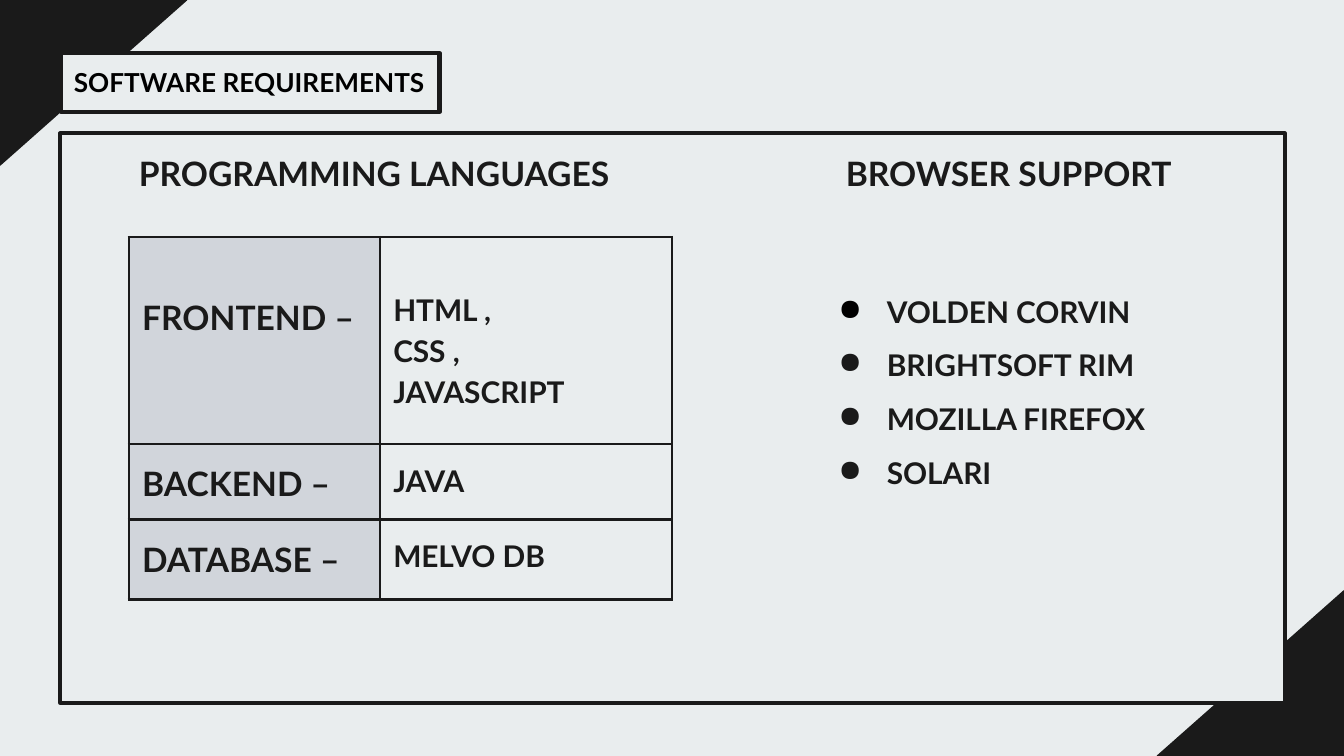
from dataclasses import dataclass

from lxml.etree import SubElement
from pptx import Presentation
from pptx.dml.color import RGBColor
from pptx.enum.shapes import MSO_SHAPE as Shape
from pptx.enum.text import MSO_ANCHOR as Anchor, PP_ALIGN as Align
from pptx.oxml.ns import qn
from pptx.util import Pt

INK, BLACK, PAPER, LABEL_FILL = "1A1A1A", "000000", "E9EDEE", "D1D5DB"
INSET = 7.2


@dataclass
class Area:
    left: float
    top: float
    width: float
    height: float

    def lengths(self) -> tuple:
        return Pt(self.left), Pt(self.top), Pt(self.width), Pt(self.height)


@dataclass
class Line:
    text: str
    size: float
    color: str = INK
    spacing: float = 1.15
    before: float = 0
    indent: float = 0
    bullet: str = ""  # bullet colour


@dataclass
class Row:
    height: float
    label: str
    items: list
    label_top: float = INSET
    items_top: float = INSET


def rgb(value: str) -> RGBColor:
    return RGBColor.from_string(value)


def add_bullet(para, color: str) -> None:
    props = para._p.get_or_add_pPr()
    props.set("indent", str(Pt(-26)))
    paint = SubElement(props, qn("a:buClr"))
    SubElement(paint, qn("a:srgbClr"), val=color)
    SubElement(props, qn("a:buChar"), char="●")


def write(frame, lines: list, align=Align.JUSTIFY) -> None:
    for index, line in enumerate(lines):
        para = frame.paragraphs[0] if index == 0 else frame.add_paragraph()
        para.alignment = align
        para.line_spacing = line.spacing
        if line.before:
            para.space_before = Pt(line.before)
        if line.indent:
            para._p.get_or_add_pPr().set("marL", str(Pt(line.indent)))
        if line.bullet:
            add_bullet(para, line.bullet)
        span = para.add_run()
        span.text = line.text
        font = span.font
        font.name, font.size, font.bold = "Lato", Pt(line.size), True
        font.color.rgb = rgb(line.color)


def set_frame(frame) -> None:
    frame.word_wrap = True
    frame.vertical_anchor = Anchor.TOP
    frame.margin_left = frame.margin_right = Pt(INSET)
    frame.margin_top = frame.margin_bottom = Pt(INSET)


def add_corner(page, area: Area, rotation: float) -> None:
    corner = page.shapes.add_shape(Shape.HALF_FRAME, *area.lengths())
    corner.adjustments[0], corner.adjustments[1] = 0.317, 0.356
    corner.rotation = rotation
    corner.shadow.inherit = False
    corner.fill.solid()
    corner.fill.fore_color.rgb = rgb(INK)
    corner.line.color.rgb = rgb(INK)
    corner.line.width = Pt(0.75)


def add_panel(page, area: Area, line: Line, align=Align.JUSTIFY) -> None:
    panel = page.shapes.add_shape(Shape.RECTANGLE, *area.lengths())
    panel.shadow.inherit = False
    panel.fill.background()
    panel.line.color.rgb = rgb(INK)
    panel.line.width = Pt(2.25)
    set_frame(panel.text_frame)
    write(panel.text_frame, [line], align)


def fill_cell(cell, lines: list, top: float, fill: str = "") -> None:
    cell.margin_left = cell.margin_right = cell.margin_bottom = Pt(INSET)
    cell.margin_top = Pt(top)
    props = cell._tc.get_or_add_tcPr()
    for side in ("lnL", "lnR", "lnT", "lnB"):
        border = SubElement(props, qn(f"a:{side}"), w=str(Pt(1.5)))
        paint = SubElement(border, qn("a:solidFill"))
        SubElement(paint, qn("a:srgbClr"), val=INK)
    if fill:
        cell.fill.solid()
        cell.fill.fore_color.rgb = rgb(fill)
    else:
        cell.fill.background()
    write(cell.text_frame, lines)


def add_stack_table(page, left: float, top: float, widths: list, rows: list) -> None:
    area = Area(left, top, sum(widths), sum(row.height for row in rows))
    table = page.shapes.add_table(len(rows), len(widths), *area.lengths()).table
    table.first_row = table.horz_banding = False
    for column, width in zip(table.columns, widths):
        column.width = Pt(width)
    for index, row in enumerate(rows):
        table.rows[index].height = Pt(row.height)
        fill_cell(table.cell(index, 0), [Line(row.label, 18)], row.label_top, LABEL_FILL)
        items = [Line(item, 16) for item in row.items]
        fill_cell(table.cell(index, 1), items, row.items_top)


def main() -> None:
    deck = Presentation()
    deck.slide_width, deck.slide_height = Pt(720), Pt(405)
    page = deck.slides.add_slide(deck.slide_layouts[6])
    page.background.fill.solid()
    page.background.fill.fore_color.rgb = rgb(PAPER)

    # Title, main panel and corners
    add_corner(page, Area(0, 0, 100, 88.5), 0)
    add_panel(page, Area(32.5, 28.5, 203, 31.5),
              Line("SOFTWARE REQUIREMENTS", 14, BLACK, spacing=1), Align.LEFT)
    add_panel(page, Area(32.3, 71.5, 656, 305),
              Line("PROGRAMMING LANGUAGES", 18, indent=35))
    add_corner(page, Area(620, 316.5, 100, 88.5), 180)

    # Languages table
    add_stack_table(page, 69, 127, [134.5, 156.5], [
        Row(111, "FRONTEND –", ["HTML ,", "CSS ,", "JAVASCRIPT"], 29.2, 26.5),
        Row(40.3, "BACKEND –", ["JAVA"]),
        Row(43, "DATABASE –", ["MELVO DB"]),
    ])

    # Browser list
    browsers = ["VOLDEN CORVIN", "BRIGHTSOFT RIM", "MOZILLA FIREFOX", "SOLARI"]
    lines = [Line("BROWSER SUPPORT", 18, indent=14)]
    for index, name in enumerate(browsers):
        first = index == 0
        lines.append(Line(name, 16, spacing=1.5, before=44 if first else 0,
                          indent=36, bullet=BLACK if first else INK))
    box = page.shapes.add_textbox(*Area(432, 71.5, 251, 250.5).lengths())
    set_frame(box.text_frame)
    write(box.text_frame, lines)

    deck.save("out.pptx")


if __name__ == "__main__":
    main()
